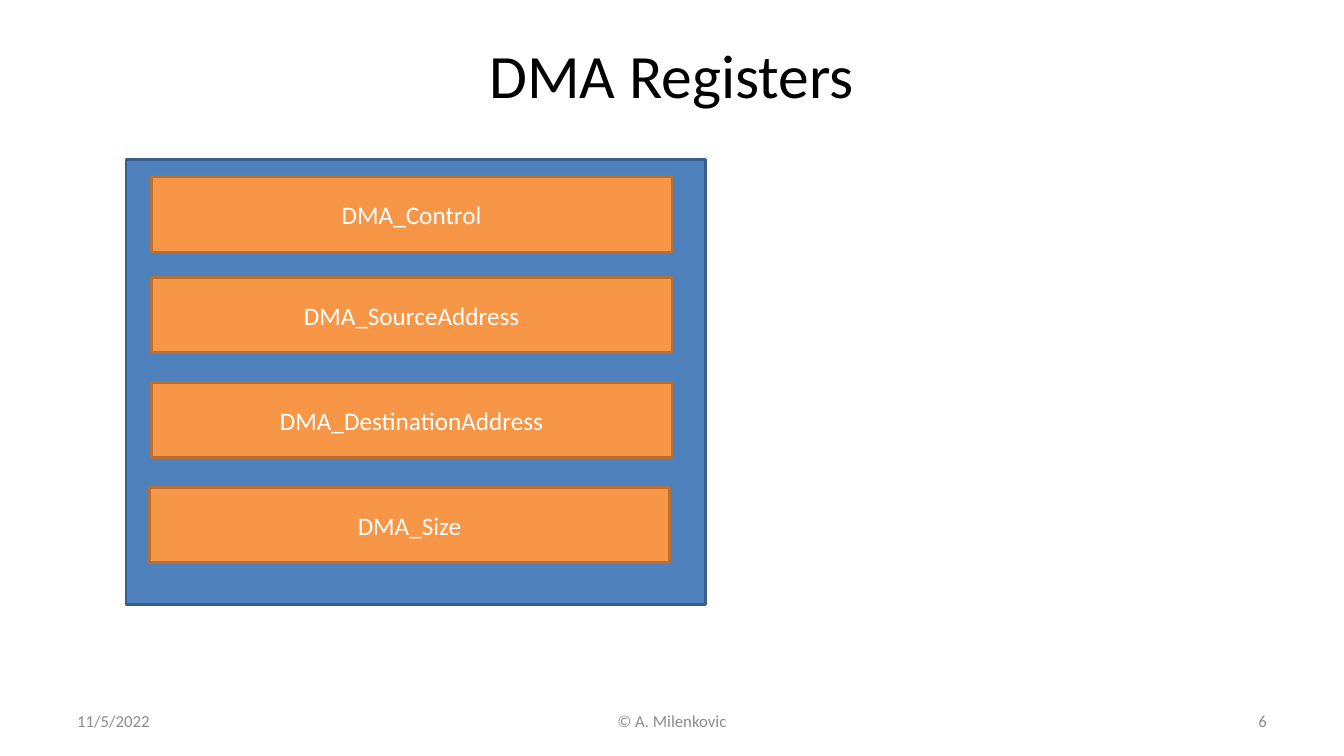
import pptx
import pptx.util
import pptx.dml.color
import pptx.enum.shapes
import pptx.enum.text

Pt = pptx.util.Pt
RGBColor = pptx.dml.color.RGBColor
ALIGN = pptx.enum.text.PP_ALIGN

BLACK = RGBColor(0x00, 0x00, 0x00)
WHITE = RGBColor(0xFF, 0xFF, 0xFF)
GRAY = RGBColor(0x8C, 0x8C, 0x8C)
BLUE = RGBColor(0x4F, 0x81, 0xBD)
DARK_BLUE = RGBColor(0x3A, 0x5F, 0x8C)
ORANGE = RGBColor(0xF7, 0x96, 0x46)
DARK_ORANGE = RGBColor(0xB7, 0x6F, 0x34)


def write_text(shape, text, size, color, alignment):
    frame = shape.text_frame
    frame.text = text
    frame_format = {
        "word_wrap": True,
        "auto_size": pptx.enum.text.MSO_AUTO_SIZE.NONE,
        "vertical_anchor": pptx.enum.text.MSO_ANCHOR.MIDDLE,
    }
    for name, value in frame_format.items():
        setattr(frame, name, value)
    paragraph = frame.paragraphs[0]
    paragraph.alignment = alignment
    for name, value in {"name": "Calibri", "size": Pt(size)}.items():
        setattr(paragraph.font, name, value)
    paragraph.font.color.rgb = color


def add_box(left, top, width, height, fill, line):
    shape = slide.shapes.add_shape(
        pptx.enum.shapes.MSO_SHAPE.RECTANGLE, Pt(left), Pt(top), Pt(width), Pt(height)
    )
    shape.shadow.inherit = False
    shape.fill.solid()
    shape.fill.fore_color.rgb = fill
    shape.line.color.rgb = line
    shape.line.width = Pt(2)
    return shape


presentation = pptx.Presentation()
presentation.slide_width = Pt(960)
presentation.slide_height = Pt(540)
slide = presentation.slides.add_slide(presentation.slide_layouts[5])

title = slide.shapes.title
title_place = {"left": 48, "top": 21.6, "width": 864, "height": 62.4}
for name, value in title_place.items():
    setattr(title, name, Pt(value))
write_text(title, "DMA Registers", 44, BLACK, ALIGN.CENTER)

footers = [
    ("11/5/2022", 48, 224, ALIGN.LEFT),
    ("© A. Milenkovic", 328, 304, ALIGN.CENTER),
    ("6", 688, 224, ALIGN.RIGHT),
]
for text, left, width, alignment in footers:
    footer = slide.shapes.add_textbox(Pt(left), Pt(500.5), Pt(width), Pt(28.75))
    write_text(footer, text, 12, GRAY, alignment)

add_box(90, 114, 414, 318, BLUE, DARK_BLUE)

registers = [
    ("DMA_Control", 108, 126),
    ("DMA_SourceAddress", 108, 198),
    ("DMA_DestinationAddress", 108, 273),
    ("DMA_Size", 106.5, 348),
]
for text, left, top in registers:
    register = add_box(left, top, 372, 54, ORANGE, DARK_ORANGE)
    write_text(register, text, 18, WHITE, ALIGN.CENTER)

presentation.save("out.pptx")
